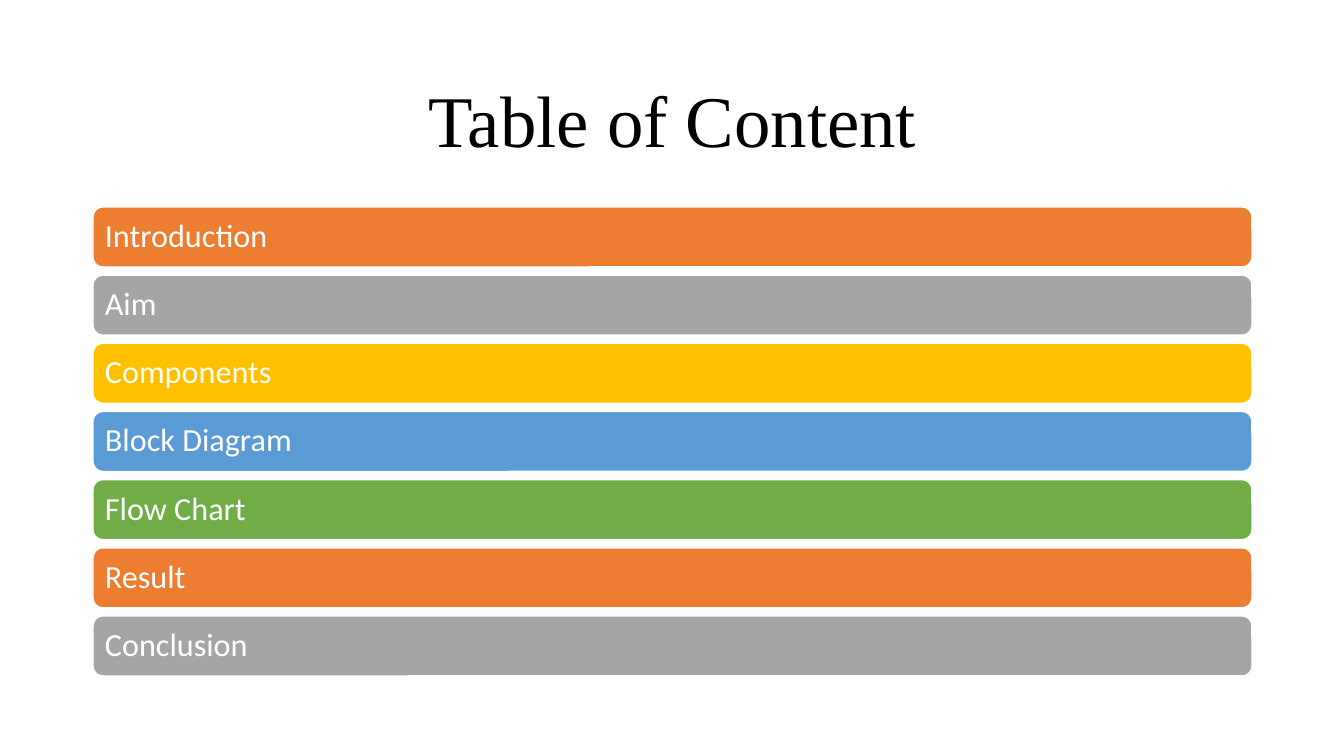
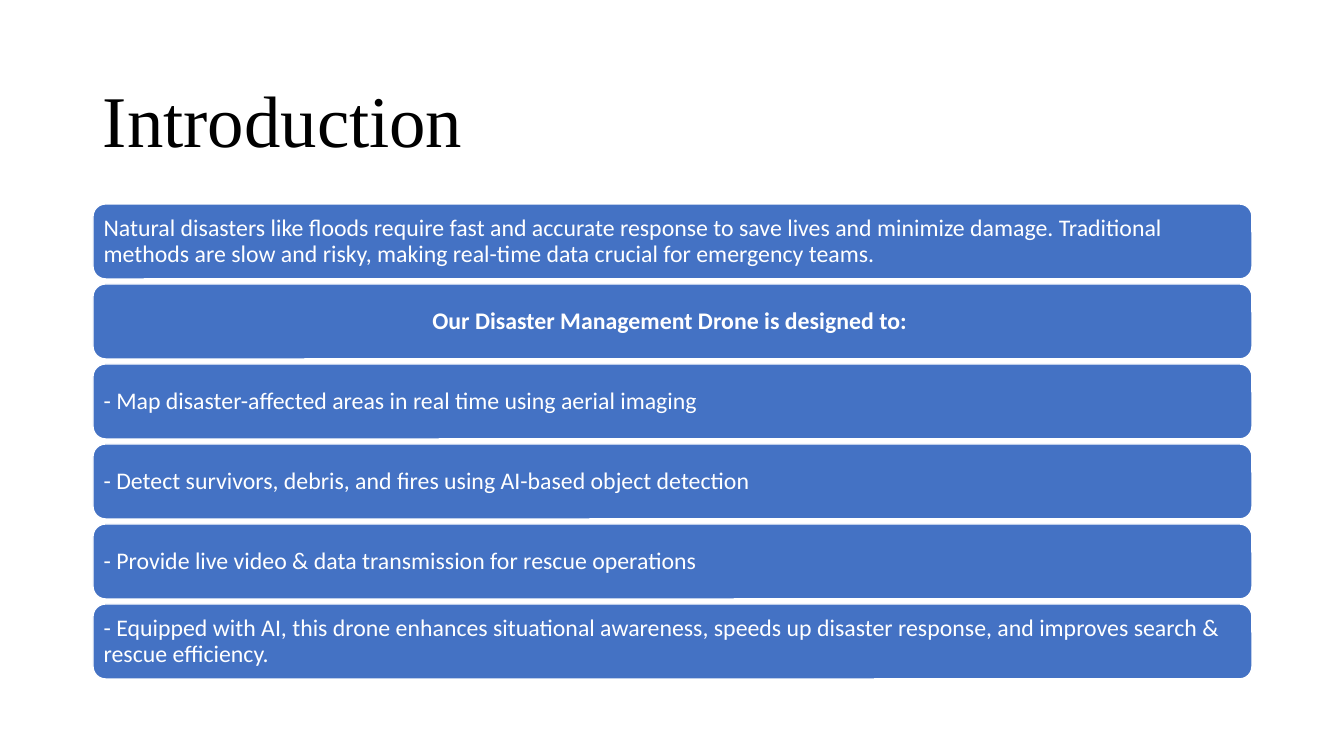
"""Build the contents and introduction slides of a disaster drone deck."""
import pptx
import pptx.util
import pptx.dml.color
import pptx.enum.shapes
import pptx.enum.text
from dataclasses import dataclass

ALIGN = pptx.enum.text.PP_ALIGN


@dataclass(frozen=True)
class Theme:
    title_font: str = "Times New Roman"
    body_font: str = "Calibri"
    title_size: int = 52
    ink: str = "000000"
    paper: str = "FFFFFF"
    blue: str = "4472C4"
    accents: tuple = ("ED7D31", "A5A5A5", "FFC000", "5B9BD5", "70AD47")


THEME = Theme()
PX = 914400 / 100.8
SLIDE_W, SLIDE_H = 1344, 756
LEFT, WIDTH = 93, 1159
TITLE_TOP, TITLE_H, TITLE_MARGIN = 61, 125, 10

SLIDES = [
    {
        "title": "Table of Content",
        "align": ALIGN.CENTER,
        "top": 207, "bottom": 676, "bar_h": 60,
        "size": 23, "margin": 9, "fills": THEME.accents,
        "bars": ["Introduction", "Aim", "Components", "Block Diagram",
                 "Flow Chart", "Result", "Conclusion"],
        "heading": None,
    },
    {
        "title": "Introduction",
        "align": ALIGN.LEFT,
        "top": 204, "bottom": 679, "bar_h": 75,
        "size": 17, "margin": 7, "fills": (THEME.blue,),
        "bars": [
            "Natural disasters like floods require fast and accurate response to save lives "
            "and minimize damage. Traditional methods are slow and risky, making real-time "
            "data crucial for emergency teams.",
            "Our Disaster Management Drone is designed to: ",
            "- Map disaster-affected areas in real time using aerial imaging",
            "- Detect survivors, debris, and fires using AI-based object detection",
            "- Provide live video & data transmission for rescue operations",
            "- Equipped with AI, this drone enhances situational awareness, speeds up "
            "disaster response, and improves search & rescue efficiency.",
        ],
        "heading": 1,
    },
]


def px(*lengths):
    return [pptx.util.Emu(round(n * PX)) for n in lengths]


def rgb(code):
    return pptx.dml.color.RGBColor.from_string(code)


def put_text(sp, text, *, font, size, color, margin, align=ALIGN.LEFT, bold=False):
    tf = sp.text_frame
    tf.word_wrap = True
    tf.vertical_anchor = pptx.enum.text.MSO_ANCHOR.MIDDLE
    tf.margin_left, tf.margin_top, tf.margin_right, tf.margin_bottom = px(*[margin] * 4)
    p = tf.paragraphs[0]
    p.alignment, p.line_spacing = align, 0.9
    r = p.add_run()
    r.text = text
    r.font.name, r.font.size, r.font.bold = font, pptx.util.Pt(size), bold
    r.font.color.rgb = rgb(color)


def add_title(s, text, align):
    sp = s.shapes.add_textbox(*px(LEFT, TITLE_TOP, WIDTH, TITLE_H))
    put_text(sp, text, font=THEME.title_font, size=THEME.title_size,
             color=THEME.ink, margin=TITLE_MARGIN, align=align)


def add_bar(s, top, height, fill):
    sp = s.shapes.add_shape(pptx.enum.shapes.MSO_SHAPE.ROUNDED_RECTANGLE,
                            *px(LEFT, top, WIDTH, height))
    sp.shadow.inherit = False
    sp.fill.solid()
    sp.fill.fore_color.rgb = rgb(fill)
    sp.line.color.rgb = rgb(THEME.paper)
    sp.line.width = pptx.util.Pt(1)
    return sp


def add_bars(s, spec):
    bars, fills, height = spec["bars"], spec["fills"], spec["bar_h"]
    pitch = (spec["bottom"] - spec["top"] - height) / (len(bars) - 1)
    for i, text in enumerate(bars):
        heading = i == spec["heading"]
        sp = add_bar(s, spec["top"] + i * pitch, height, fills[i % len(fills)])
        put_text(sp, text, font=THEME.body_font, size=spec["size"], color=THEME.paper,
                 margin=spec["margin"], bold=heading,
                 align=ALIGN.CENTER if heading else ALIGN.LEFT)


def main():
    prs = pptx.Presentation()
    prs.slide_width, prs.slide_height = px(SLIDE_W, SLIDE_H)
    for content in SLIDES:
        s = prs.slides.add_slide(prs.slide_layouts[6])
        add_title(s, content["title"], content["align"])
        add_bars(s, content)
    prs.save("out.pptx")


if __name__ == "__main__":
    main()
